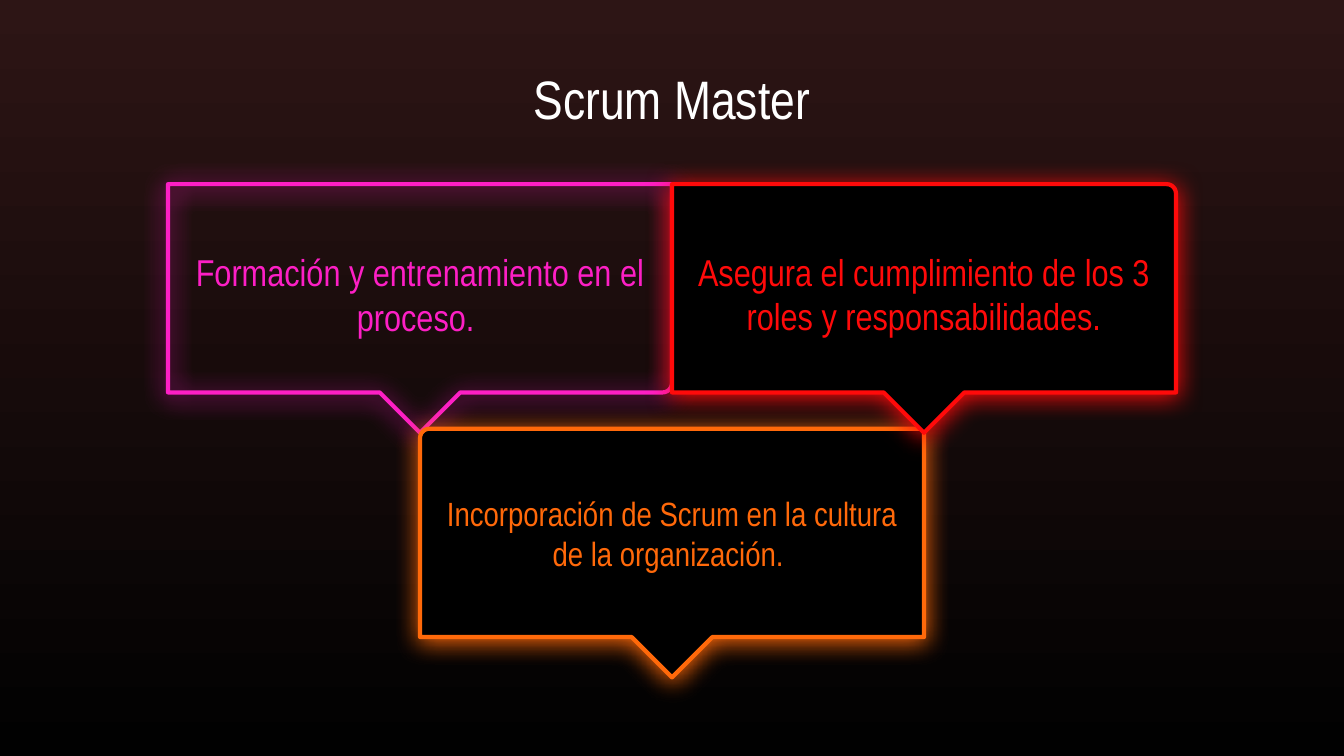
import math

import pptx
import pptx.dml.color
import pptx.enum.text
import pptx.oxml
import pptx.util
from pptx.util import Inches

COLORS = {"top": "2D1515", "base": "010101", "fill": "000000", "title": "FFFFFF",
          "pink": "FD1FC5", "orange": "FF690A", "red": "FF0A0A"}
FONT = "Arial Narrow"
WIDTH, BODY, TIP, RADIUS = 3.75, 1.55, 0.3, 0.07
LEFT, TOP, STEP = 1.25, 1.37, 1.82
GLOW = """<a:effectLst xmlns:a="http://schemas.openxmlformats.org/drawingml/2006/main">
<a:outerShdw blurRad="171450" dist="19050" dir="5400000" algn="bl" rotWithShape="0">
<a:srgbClr val="{}"><a:alpha val="97000"/></a:srgbClr></a:outerShdw></a:effectLst>"""


def rgb(name):
    return pptx.dml.color.RGBColor.from_string(COLORS[name])


def paint(slide):
    fill = slide.background.fill
    fill.gradient()
    fill.gradient_angle = 270
    for stop, name in zip(fill.gradient_stops, ("top", "base")):
        stop.color.rgb = rgb(name)


def write(shape, box, text, size, color):
    shape.left, shape.top, shape.width, shape.height = map(Inches, box)
    frame = shape.text_frame
    frame.text = text
    frame.word_wrap = True
    frame.auto_size = pptx.enum.text.MSO_AUTO_SIZE.NONE
    frame.vertical_anchor = pptx.enum.text.MSO_ANCHOR.MIDDLE
    frame.margin_left = frame.margin_right = Inches(0.1)
    frame.margin_top = frame.margin_bottom = Inches(0.1)
    line = frame.paragraphs[0]
    line.alignment = pptx.enum.text.PP_ALIGN.CENTER
    font = line.runs[0].font
    font.name, font.size = FONT, pptx.util.Pt(size)
    font.color.rgb = rgb(color)


def outline(left, top, curve):
    right, base, mid = left + WIDTH, top + BODY, left + WIDTH / 2
    corners = {"tl": (left, top, 1, 1, 180), "tr": (right, top, -1, 1, 270),
               "br": (right, base, -1, -1, 0), "bl": (left, base, 1, -1, 90)}
    points = []
    for name, (x, y, dx, dy, start) in corners.items():
        if name == "bl":
            points += [(mid + TIP, base), (mid, base + TIP), (mid - TIP, base)]
        if name == curve:
            for turn in range(0, 91, 15):
                angle = math.radians(start + turn)
                points.append((x + RADIUS * (dx + math.cos(angle)),
                               y + RADIUS * (dy + math.sin(angle))))
        else:
            points.append((x, y))
    return [(Inches(x), Inches(y)) for x, y in points]


def bubble(slide, left, top, curve, color, filled, label, text, size):
    start, *rest = outline(left, top, curve)
    pen = slide.shapes.build_freeform(*start)
    pen.add_line_segments(rest, close=True)
    shape = pen.convert_to_shape()
    if filled:
        shape.fill.solid()
        shape.fill.fore_color.rgb = rgb("fill")
    else:
        shape.fill.background()
    shape.line.color.rgb = rgb(color)
    shape.line.width = pptx.util.Pt(2.25)
    shape._element.spPr.append(pptx.oxml.parse_xml(GLOW.format(COLORS[color])))
    drop, height = label
    note = slide.shapes.add_textbox(0, 0, 0, 0)
    write(note, (left, top + drop, WIDTH, height), text, size, color)


def main():
    deck = pptx.Presentation()
    deck.slide_width = Inches(10)
    deck.slide_height = deck.slide_width * 9 // 16
    slide = deck.slides.add_slide(deck.slide_layouts[5])
    paint(slide)
    bubble(slide, LEFT, TOP, "br", "pink", False, (0.3, 1.04),
           "Formación y entrenamiento en el proceso. ", 20)
    bubble(slide, LEFT + WIDTH / 2, TOP + STEP, "tl", "orange", True, (0.08, 1.39),
           "Incorporación de Scrum en la cultura de la organización. ", 18)
    bubble(slide, LEFT + WIDTH, TOP, "tr", "red", True, (0.3, 1.03),
           "Asegura el cumplimiento de los 3 roles y responsabilidades.", 20)
    write(slide.shapes.title, (0.5, 0.58, 9, 0.3), "Scrum Master", 29, "title")
    deck.save("out.pptx")


if __name__ == "__main__":
    main()
